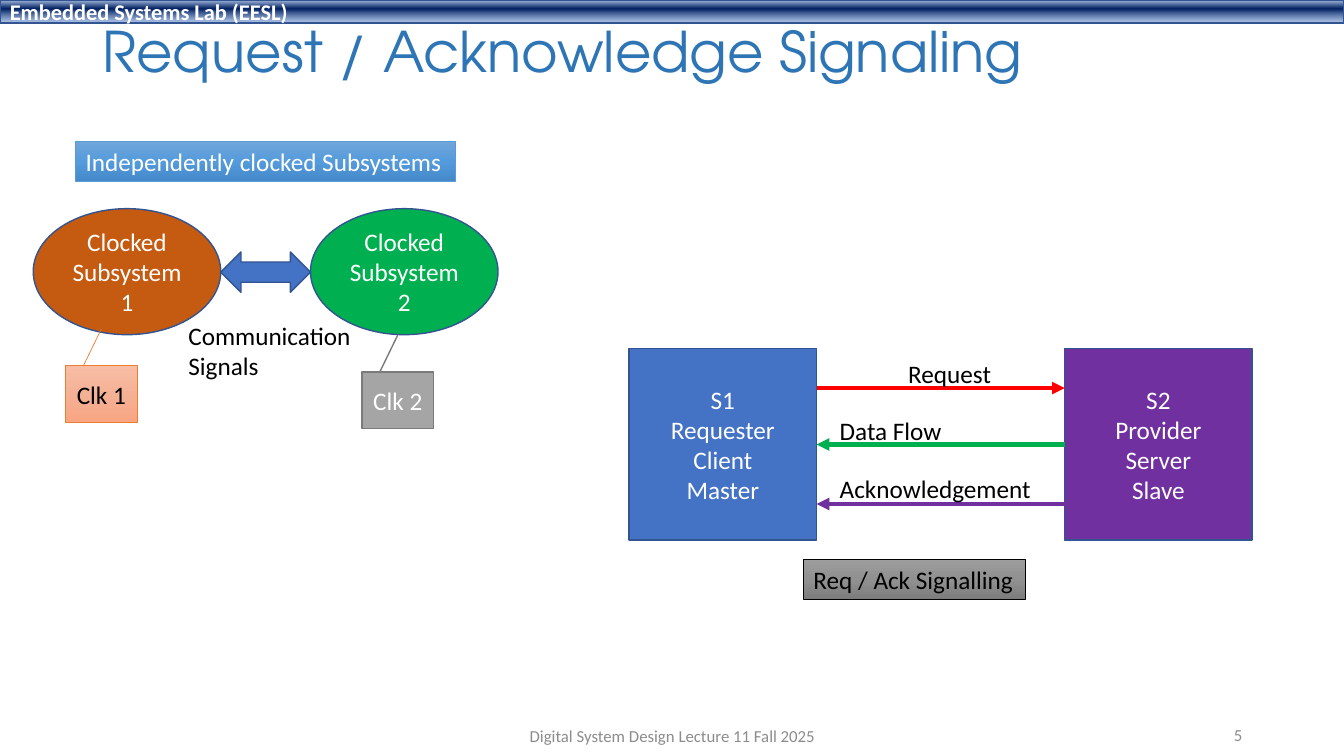
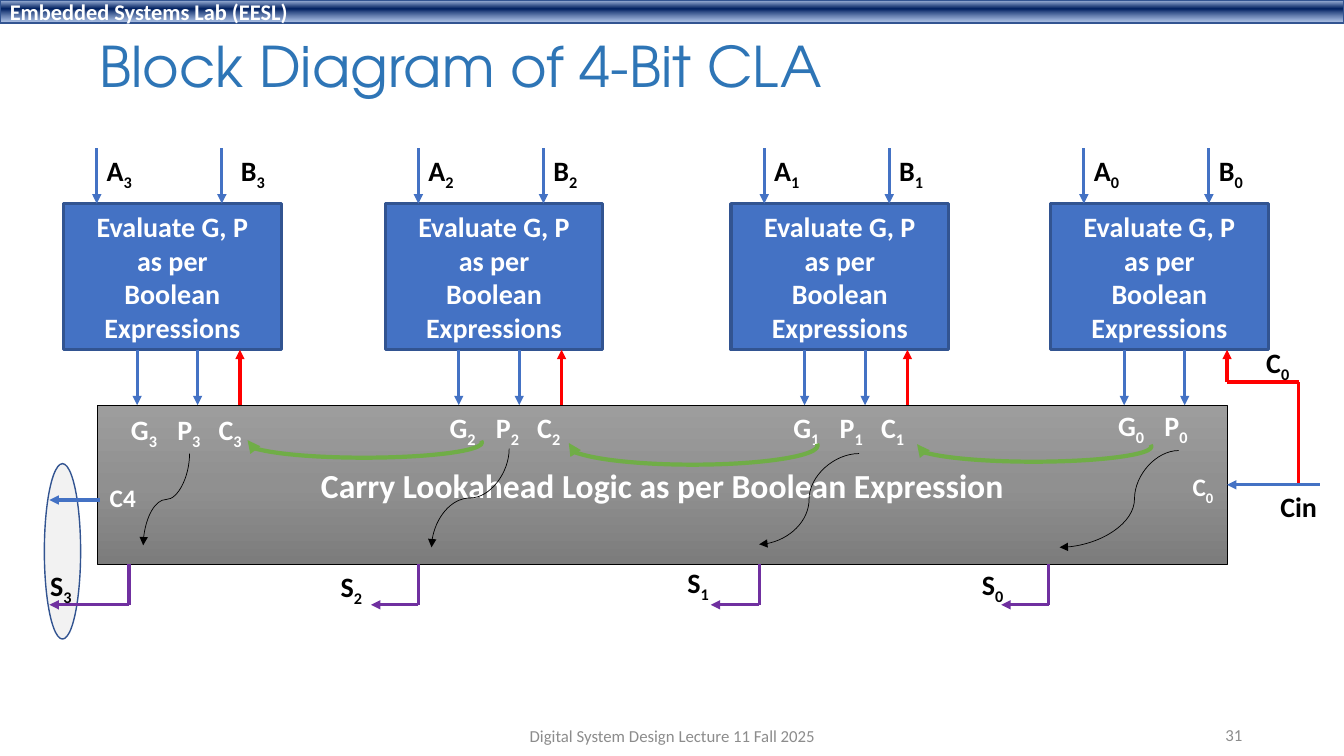
import lxml.etree
import pptx
import pptx.dml.color
import pptx.enum.shapes
import pptx.enum.text
import pptx.oxml.ns
import pptx.util

Inches = pptx.util.Inches
Pt = pptx.util.Pt
RGBColor = pptx.dml.color.RGBColor
SHAPE = pptx.enum.shapes.MSO_SHAPE
CONNECTOR = pptx.enum.shapes.MSO_CONNECTOR
ALIGN = pptx.enum.text.PP_ALIGN
ANCHOR = pptx.enum.text.MSO_ANCHOR
qn = pptx.oxml.ns.qn

WHITE = RGBColor(0xFF, 0xFF, 0xFF)
BLACK = RGBColor(0x00, 0x00, 0x00)
TITLE_BLUE = RGBColor(0x2E, 0x75, 0xB6)
BLUE = RGBColor(0x44, 0x72, 0xC4)
BORDER = RGBColor(0x32, 0x54, 0x91)
SKY = RGBColor(0x5B, 0x9B, 0xD5)
RUST = RGBColor(0xC5, 0x5A, 0x11)
ORANGE = RGBColor(0xED, 0x7D, 0x31)
GREEN = RGBColor(0x00, 0xB0, 0x50)
LEAF = RGBColor(0x70, 0xAD, 0x47)
PURPLE = RGBColor(0x70, 0x30, 0xA0)
RED = RGBColor(0xFF, 0x00, 0x00)
GRAY = RGBColor(0xA5, 0xA5, 0xA5)
DARK_GRAY = RGBColor(0x7A, 0x7A, 0x7A)
PALE = RGBColor(0xF2, 0xF2, 0xF2)
FOOTER_GRAY = RGBColor(0x8C, 0x8C, 0x8C)

BAND_FILL = [(2, "ABC0E4", 100), (38, "002060", 100), (93, "7E9ED6", 64)]
SKY_FILL = [(0, "71A6DB", 100), (50, "559BDB", 100), (100, "448ACA", 100)]
STEEL_FILL = [(0, "9D9D9D", 100), (50, "909090", 100), (100, "7C7C7C", 100)]
PEACH_FILL = [(0, "F7BDA5", 100), (50, "F5B196", 100), (100, "F8A582", 100)]

BODY_FONT = "Calibri"
TITLE_FONT = "TeX Gyre Adventor"
BAND_TEXT = "Embedded Systems Lab (EESL)"
FOOTER_TEXT = "Digital System Design Lecture 11 Fall 2025"

SUBSYSTEMS = [(0.33, "Clocked\nSubsystem 1", RUST), (3.08, "Clocked\nSubsystem 2", GREEN)]
CLOCKS = [
    (0.65, 3.63, "Clk 1", PEACH_FILL, ORANGE, 0.5, BLACK),
    (3.59, 3.69, "Clk 2", GRAY, DARK_GRAY, 1, WHITE),
]
CALLOUT_POINTS = [-0.012, 0.254, -0.65, 0.499]
CAPTIONS = [
    ((0.75, 1.4, 3.77, 0.4), "Independently clocked Subsystems", SKY_FILL, SKY, WHITE),
    ((7.97, 5.55, 2.2, 0.4), "Req / Ack Signalling", STEEL_FILL, BLACK, BLACK),
]
PARTIES = [
    (6.24, "S1\nRequester Client\nMaster", BLUE),
    (10.56, "S2\nProvider\nServer\nSlave", PURPLE),
]
SIGNAL_LABELS = [
    ((1.77, 3.13, 1.83, 0.71), "Communication\nSignals"),
    ((8.91, 3.51, 1.03, 0.4), "Request"),
    ((8.23, 4.07, 1.22, 0.4), "Data Flow"),
    ((8.23, 4.65, 2.12, 0.4), "Acknowledgement"),
]

BLOCK_TEXT = "Evaluate G, P\nas per\nBoolean Expressions"
BITS = [
    dict(index="3", left=0.63, b_label=2.29, gpc=(1.2, 4.04), corner=1.28, sum_end=0.49,
         sum_label=(0.4, 5.59), curve=((1.88, 4.5), (1.42, 5.41))),
    dict(index="2", left=3.82, b_label=5.39, gpc=(4.36, 4.02), corner=4.15, sum_end=3.68,
         sum_label=(3.28, 5.6), curve=((5.05, 4.45), (4.28, 5.43))),
    dict(index="1", left=7.25, b_label=8.82, gpc=(7.77, 4.02), corner=7.53, sum_end=7.05,
         sum_label=(6.72, 5.56), curve=((8.52, 4.5), (7.53, 5.4))),
    dict(index="0", left=10.42, b_label=11.99, gpc=(10.99, 4), corner=10.4, sum_end=9.93,
         sum_label=(9.64, 5.58), curve=((11.69, 4.47), (10.51, 5.43))),
]
CARRY_ARCS = [(9.08, 4.28, 2.34, 0.3), (5.63, 4.23, 2.48, 0.38), (2.44, 4.24, 2.34, 0.3)]
INPUT_TOP, BLOCK_TOP, BLOCK_BOTTOM, LOGIC_TOP, LOGIC_BOTTOM, SUM_Y = 1.47, 2.02, 3.47, 4.02, 5.6, 6
A_OFFSET, B_OFFSET, G_OFFSET, P_OFFSET, C_OFFSET = 0.33, 1.57, 0.73, 1.33, 1.75
TAB_STOPS = [0.46, 0.87]


def paint(shape, fill, line, width):
    shape.shadow.inherit = False
    if fill is None:
        shape.fill.background()
    elif isinstance(fill, RGBColor):
        shape.fill.solid()
        shape.fill.fore_color.rgb = fill
    else:
        shape.fill.gradient()
        shape.fill.gradient_angle = 270
        stops = shape._element.spPr.find(".//" + qn("a:gsLst"))
        stops.clear()
        for position, color, opacity in fill:
            stop = lxml.etree.SubElement(stops, qn("a:gs"), pos=str(position * 1000))
            tint = lxml.etree.SubElement(stop, qn("a:srgbClr"), val=color)
            if opacity < 100:
                lxml.etree.SubElement(tint, qn("a:alpha"), val=str(opacity * 1000))
    shape.line.color.rgb = line
    shape.line.width = Pt(width)


def format_text(shape, size, color, bold=False, align=ALIGN.CENTER, font=BODY_FONT):
    for para in shape.text_frame.paragraphs:
        para.alignment = align
        for span in para.runs:
            span.font.size = Pt(size)
            span.font.name = font
            span.font.bold = bold
            span.font.color.rgb = color


def fit_tightly(shape):
    frame = shape.text_frame
    frame.word_wrap = False
    frame.auto_size = pptx.enum.text.MSO_AUTO_SIZE.SHAPE_TO_FIT_TEXT
    frame.vertical_anchor = ANCHOR.TOP


def add_box(page, kind, at, fill, line, width, text="", size=18, color=WHITE, bold=False,
            align=ALIGN.CENTER):
    box = page.shapes.add_shape(kind, *map(Inches, at))
    paint(box, fill, line, width)
    if text:
        box.text_frame.text = text
        box.text_frame.word_wrap = True
        box.text_frame.vertical_anchor = ANCHOR.MIDDLE
        format_text(box, size, color, bold, align)
    return box


def add_text(page, at, text, size, color, align=ALIGN.LEFT, font=BODY_FONT):
    box = page.shapes.add_textbox(*map(Inches, at))
    box.text_frame.text = text
    box.text_frame.word_wrap = True
    box.text_frame.vertical_anchor = ANCHOR.MIDDLE
    format_text(box, size, color, False, align, font)
    return box


def add_label(page, at, text, size=18, color=BLACK, bold=False):
    box = add_text(page, at, text, size, color)
    fit_tightly(box)
    format_text(box, size, color, bold, ALIGN.LEFT)


def add_indexed(page, at, letters, index, size=20, color=BLACK):
    box = page.shapes.add_textbox(*map(Inches, at))
    fit_tightly(box)
    para = box.text_frame.paragraphs[0]
    for letter in letters:
        para.add_run().text = letter
        below = para.add_run()
        below.text = index
        below.font._element.set("baseline", "-25000")
    format_text(box, size, color, True, ALIGN.LEFT)
    return box


def add_tab_stops(box):
    box.text_frame.word_wrap = True
    box.text_frame.auto_size = pptx.enum.text.MSO_AUTO_SIZE.NONE
    properties = box.text_frame.paragraphs[0]._p.get_or_add_pPr()
    stops = lxml.etree.SubElement(properties, qn("a:tabLst"))
    for stop in TAB_STOPS:
        lxml.etree.SubElement(stops, qn("a:tab"), pos=str(Inches(stop)), algn="l")


def add_arrowhead(shape):
    outline = shape._element.spPr.find(qn("a:ln"))
    lxml.etree.SubElement(outline, qn("a:tailEnd"), type="triangle")


def add_line(page, start, end, color, width=2.25, arrow=True, kind=CONNECTOR.STRAIGHT):
    line = page.shapes.add_connector(kind, *map(Inches, (*start, *end)))
    line.line.color.rgb = color
    line.line.width = Pt(width)
    if arrow:
        add_arrowhead(line)
    lxml.etree.SubElement(line._element.spPr, qn("a:effectLst"))
    return line


def add_route(page, points, color):
    last = len(points) - 2
    for number, (start, end) in enumerate(zip(points, points[1:])):
        add_line(page, start, end, color, arrow=number == last)


def add_curve(page, start, end):
    across, down = start[0] - end[0], end[1] - start[1]
    if across > down:
        curve = add_line(page, start, end, BLACK, 0.5, kind=CONNECTOR.CURVE)
        if across > 1:
            guides = curve._element.spPr.find(".//" + qn("a:avLst"))
            lxml.etree.SubElement(guides, qn("a:gd"), name="adj1", fmla="val 37100")
        return
    middle_x, middle_y = (start[0] + end[0]) / 2, (start[1] + end[1]) / 2
    corner = (middle_x - down / 2, middle_y - across / 2)
    opposite = (middle_x + down / 2, middle_y + across / 2)
    add_line(page, corner, opposite, BLACK, 0.5, kind=CONNECTOR.CURVE).rotation = 90


def add_page(deck, title, title_at, number):
    page = deck.slides.add_slide(deck.slide_layouts[6])
    add_box(page, SHAPE.RECTANGLE, (0, 0, 13.33, 0.23), BAND_FILL, BORDER, 1, BAND_TEXT, 16,
            bold=True, align=ALIGN.LEFT)
    heading = add_text(page, title_at, title, 40, TITLE_BLUE, font=TITLE_FONT)
    heading.text_frame.paragraphs[0].line_spacing = 0.9
    add_text(page, (4.42, 7.1, 4.5, 0.4), FOOTER_TEXT, 12, FOOTER_GRAY, ALIGN.CENTER)
    add_text(page, (9.42, 7.09, 3, 0.4), number, 12, FOOTER_GRAY, ALIGN.RIGHT)
    return page


def build_signaling(deck):
    page = add_page(deck, "Request / Acknowledge Signaling", (0.92, 0.15, 11.5, 0.77), "5")
    for left, text, fill in SUBSYSTEMS:
        add_box(page, SHAPE.OVAL, (left, 2.07, 1.86, 1.25), fill, BORDER, 1, text)
    add_box(page, SHAPE.LEFT_RIGHT_ARROW, (2.19, 2.5, 0.89, 0.4), BLUE, BORDER, 1)
    for at, text, fill, line, color in CAPTIONS:
        fit_tightly(add_box(page, SHAPE.RECTANGLE, at, fill, line, 0.5, text, color=color,
                            align=ALIGN.LEFT))
    requester, provider = [
        add_box(page, SHAPE.RECTANGLE, (left, 3.46, 1.86, 1.9), fill, BORDER, 1, text)
        for left, text, fill in PARTIES
    ]
    add_line(page, (8.1, 3.85), (10.56, 3.85), RED, 3)
    data_flow = add_line(page, (10.56, 4.41), (8.1, 4.41), GREEN, 3)
    data_flow.begin_connect(provider, 1)
    data_flow.end_connect(requester, 3)
    add_line(page, (10.56, 5), (8.1, 5), PURPLE, 3)
    for at, text in SIGNAL_LABELS:
        add_label(page, at, text)
    for left, top, text, fill, line, width, color in CLOCKS:
        clock = add_box(page, SHAPE.LINE_CALLOUT_1, (left, top, 0.71, 0.56), fill, line, width,
                        text, color=color)
        for number, value in enumerate(CALLOUT_POINTS):
            clock.adjustments[number] = value


def add_bit(page, bit):
    index, left = bit["index"], bit["left"]
    first = index == "0"
    add_box(page, SHAPE.RECTANGLE, (left, BLOCK_TOP, 2.16, BLOCK_BOTTOM - BLOCK_TOP), BLUE,
            BORDER, 2.25, BLOCK_TEXT, 20, bold=True)
    for offset in (A_OFFSET, B_OFFSET):
        add_line(page, (left + offset, INPUT_TOP), (left + offset, BLOCK_TOP), BLUE)
    for offset in (G_OFFSET, P_OFFSET):
        add_line(page, (left + offset, BLOCK_BOTTOM), (left + offset, LOGIC_TOP), BLUE)
    carry = left + C_OFFSET
    feed = [(12.88, 4.81), (12.88, 3.79), (carry, 3.79)] if first else [(carry, LOGIC_TOP)]
    add_route(page, feed + [(carry, BLOCK_BOTTOM)], RED)
    corner = bit["corner"]
    add_route(page, [(corner, LOGIC_BOTTOM), (corner, SUM_Y), (bit["sum_end"], SUM_Y)], PURPLE)
    add_indexed(page, (left + A_OFFSET, INPUT_TOP, 0.47, 0.44), "A", index)
    add_indexed(page, (bit["b_label"], INPUT_TOP, 0.45, 0.44), "B", index)
    add_indexed(page, (*bit["sum_label"], 0.43, 0.44), "S", index)
    letters = ["G", "\tP"] if first else ["G", "\tP", "\tC"]
    width = 0.95 if first else 1.39
    add_tab_stops(add_indexed(page, (*bit["gpc"], width, 0.44), letters, index, color=WHITE))
    add_curve(page, *bit["curve"])


def build_adder(deck):
    page = add_page(deck, "Block Diagram of 4-Bit CLA", (0.89, 0.24, 11.5, 0.89), "31")
    logic = add_box(page, SHAPE.RECTANGLE, (0.97, LOGIC_TOP, 11.2, LOGIC_BOTTOM - LOGIC_TOP),
                    STEEL_FILL, BLACK, 0.5, "Carry Lookahead Logic as per Boolean Expression",
                    24, bold=True)
    add_box(page, SHAPE.OVAL, (0.44, 4.6, 0.36, 1.74), PALE, BORDER, 1)
    for bit in BITS:
        add_bit(page, bit)
    add_line(page, (13.09, 4.81), (12.17, 4.81), BLUE).end_connect(logic, 3)
    add_line(page, (0.99, 4.96), (0.49, 4.96), BLUE)
    add_indexed(page, (12.46, 3.38, 0.45, 0.44), "C", "0")
    add_indexed(page, (11.73, 4.63, 0.42, 0.4), "C", "0", 18, WHITE)
    add_label(page, (12.6, 4.81, 0.57, 0.44), "Cin", 20, BLACK, True)
    add_label(page, (0.99, 4.74, 0.46, 0.4), "C4", 18, WHITE, True)
    for at in CARRY_ARCS:
        arc = add_box(page, SHAPE.ARC, at, None, LEAF, 3)
        arc.rotation = 180
        arc.adjustments[0], arc.adjustments[1] = 107.478, 0.711
        add_arrowhead(arc)


def main():
    deck = pptx.Presentation()
    deck.slide_width, deck.slide_height = Inches(13.33), Inches(7.5)
    build_signaling(deck)
    build_adder(deck)
    deck.save("out.pptx")


if __name__ == "__main__":
    main()
